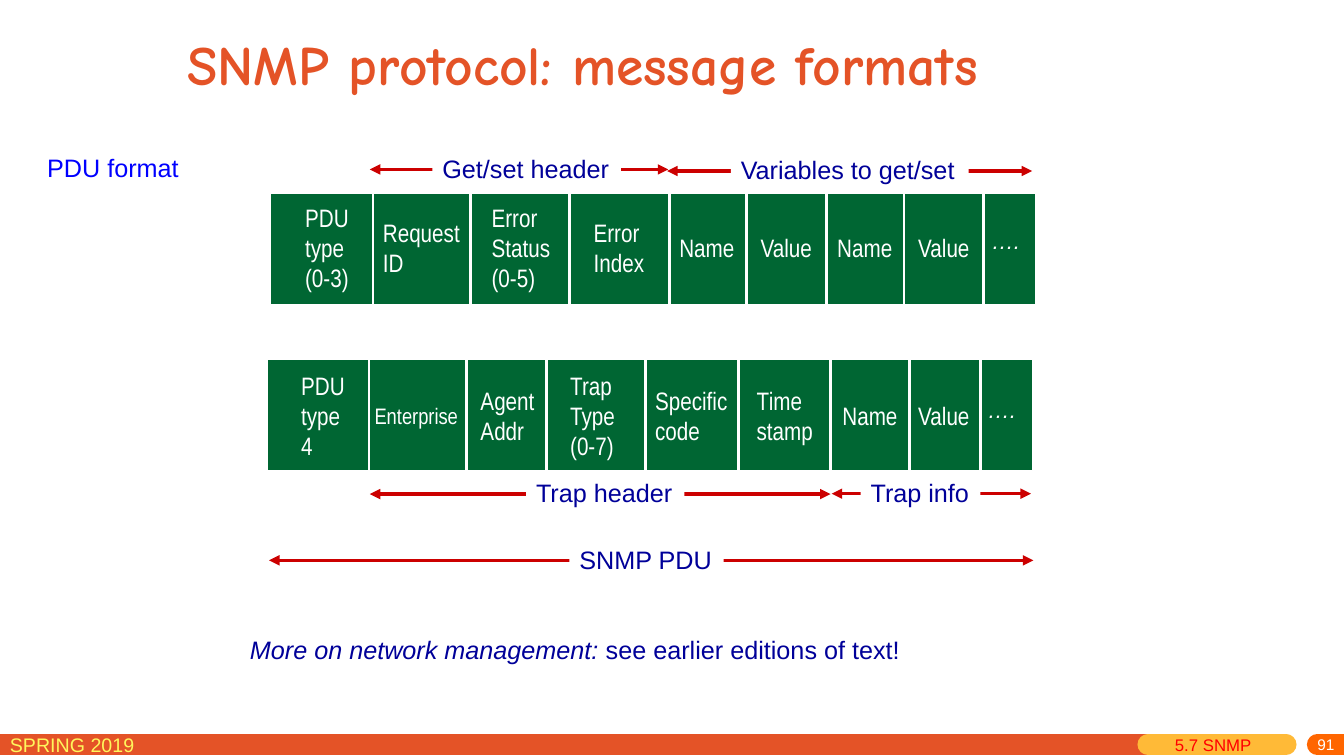
from lxml import etree
from pptx import Presentation
from pptx.dml.color import RGBColor
from pptx.enum import shapes, text
from pptx.oxml.ns import qn
from pptx.util import Cm, Pt

WHITE = RGBColor(0xFF, 0xFF, 0xFF)
GREEN = RGBColor(0x00, 0x66, 0x33)
RED = RGBColor(0xCC, 0x00, 0x00)
NAVY = RGBColor(0x00, 0x00, 0x99)
BLUE = RGBColor(0x00, 0x00, 0xFF)
RUST = RGBColor(0xE4, 0x53, 0x27)
GOLD = RGBColor(0xFF, 0xBA, 0x37)
AMBER = RGBColor(0xFF, 0x66, 0x00)
LEMON = RGBColor(0xFF, 0xF6, 0x5C)
SCARLET = RGBColor(0xFF, 0x00, 0x00)

ROW_WIDTH, ROW_HEIGHT = 19.28, 2.79
DOTS = "…."
ROWS = [
    dict(left=6.83, top=4.88, middle=6.23,
         cuts=[9.4, 11.86, 14.35, 16.87, 18.82, 20.83, 22.78, 24.79],
         cells=[("PDU\ntype\n(0-3)", 7.44, 1.63), ("Request\nID", 9.4, 2.46),
                ("Error\nStatus\n(0-5)", 12.14, 2.01),
                ("Error\nIndex", 14.71, 1.8), ("Name", 16.87, 1.93),
                ("Value", 18.92, 1.83), ("Name", 20.85, 1.91),
                ("Value", 22.89, 1.83), (DOTS, 24.74, 1.24)]),
    dict(left=6.73, top=9.07, middle=10.47,
         cuts=[9.3, 11.76, 13.77, 16.26, 18.62, 20.93, 22.91, 24.71],
         cells=[("PDU\ntype\n4", 7.34, 1.63), ("Enterprise", 9.19, 2.64),
                ("Agent\nAddr", 11.86, 1.88),
                ("Trap\nType\n(0-7)", 14.12, 1.65),
                ("Specific\ncode", 16.26, 2.36), ("Time\nstamp", 18.82, 1.96),
                ("Name", 20.98, 1.91), ("Value", 22.89, 1.83),
                (DOTS, 24.64, 1.24)]),
]
SPANS = [
    ("Get/set header", 9.32, 16.84, 4.27, 10.9, 4.75),
    ("Variables to get/set", 16.81, 26.01, 4.31, 18.42, 5.99),
    ("Trap header", 9.32, 20.93, 12.45, 13.26, 3.99),
    ("Trap info", 20.96, 25.98, 12.44, 21.69, 3.02),
    ("SNMP PDU", 6.78, 26.04, 14.12, 14.35, 3.89),
]
FOOT = 18.76
BANDS = [(0, 28.93, RUST, "flat"), (28.93, 32.41, GOLD, "rnd"),
         (33.2, 33.87, AMBER, "rnd")]
FOOT_NOTES = [("SPRING 2019", 0, 5.82, 14, LEMON),
              ("5.7 SNMP", 29.36, 2.79, 12, SCARLET),
              ("91", 27.3, 6.58, 11, WHITE)]

deck = Presentation()
deck.slide_width, deck.slide_height = Cm(33.87), Cm(19.05)
slide = deck.slides.add_slide(deck.slide_layouts[6])


def draw_line(x1, y1, x2, y2, color, width):
    line = slide.shapes.add_connector(
        shapes.MSO_CONNECTOR.STRAIGHT, Cm(x1), Cm(y1), Cm(x2), Cm(y2))
    line.line.color.rgb = color
    line.line.width = Pt(width)
    etree.SubElement(line._element.spPr, qn("a:effectLst"))
    return line


def write(words, left, middle, width, size=18, color=NAVY, font="Arial",
          grow=True):
    lines = words.split("\n")
    height = len(lines) * size * 0.043 + 0.25
    box = slide.shapes.add_textbox(
        Cm(left), Cm(middle - height / 2), Cm(width), Cm(height))
    frame = box.text_frame
    frame.word_wrap = not grow
    if grow:
        frame.auto_size = text.MSO_AUTO_SIZE.SHAPE_TO_FIT_TEXT
    frame.vertical_anchor = text.MSO_ANCHOR.MIDDLE
    frame.text = words
    for para in frame.paragraphs:
        para.font.name = font
        para.font.size = Pt(size)
        para.font.color.rgb = color
    return box


for start, end, color, cap in BANDS:
    band = draw_line(start, FOOT, end, FOOT, color, 15)
    band.line._get_or_add_ln().set("cap", cap)
for words, left, width, size, color in FOOT_NOTES:
    note = write(words, left, FOOT, width, size, color, grow=False)
note.text_frame.paragraphs[0].alignment = text.PP_ALIGN.RIGHT

title = write("SNMP protocol: message formats", 4.47, 1.59, 23.55, 39.6, RUST,
              "Comic Neue", grow=False)
title.text_frame.paragraphs[0].font.bold = True

for row in ROWS:
    top = row["top"]
    bar = slide.shapes.add_shape(
        shapes.MSO_SHAPE.RECTANGLE, Cm(row["left"]), Cm(top),
        Cm(ROW_WIDTH), Cm(ROW_HEIGHT))
    bar.shadow.inherit = False
    bar.fill.solid()
    bar.fill.fore_color.rgb = GREEN
    bar.line.color.rgb = WHITE
    bar.line.width = Pt(0.75)
    for x in row["cuts"]:
        draw_line(x, top, x, top + 2.83, WHITE, 2)
    for words, left, width in row["cells"]:
        if words == DOTS:
            dots = write(words, left, row["middle"] - 0.03, width, 16, WHITE)
            para = dots.text_frame.paragraphs[0]
            para.line_spacing = Pt(12)
            para.font.italic = True
            dots.height = Cm(0.68)
            dots.top = Cm(row["middle"] - 0.37)
        else:
            size = 16 if words == "Enterprise" else 18
            write(words, left, row["middle"], width, size, WHITE,
                  "Arial Narrow")

for words, start, end, y, left, width in SPANS:
    arrow = draw_line(start, y, end, y, RED, 2.5)
    for tip in ("a:headEnd", "a:tailEnd"):
        etree.SubElement(arrow.line._get_or_add_ln(), qn(tip), type="triangle")
for words, start, end, y, left, width in SPANS:
    label = write(words, left, y - 0.03, width)
    label.fill.solid()
    label.fill.fore_color.rgb = WHITE

more = write("More on network management: ", 6.05, 16.36, 17.04)
para = more.text_frame.paragraphs[0]
para.runs[0].font.italic = True
para.add_run().text = "see earlier editions of text!"
write("PDU format", 0.94, 4.22, 3.86, color=BLUE)

deck.save("out.pptx")
